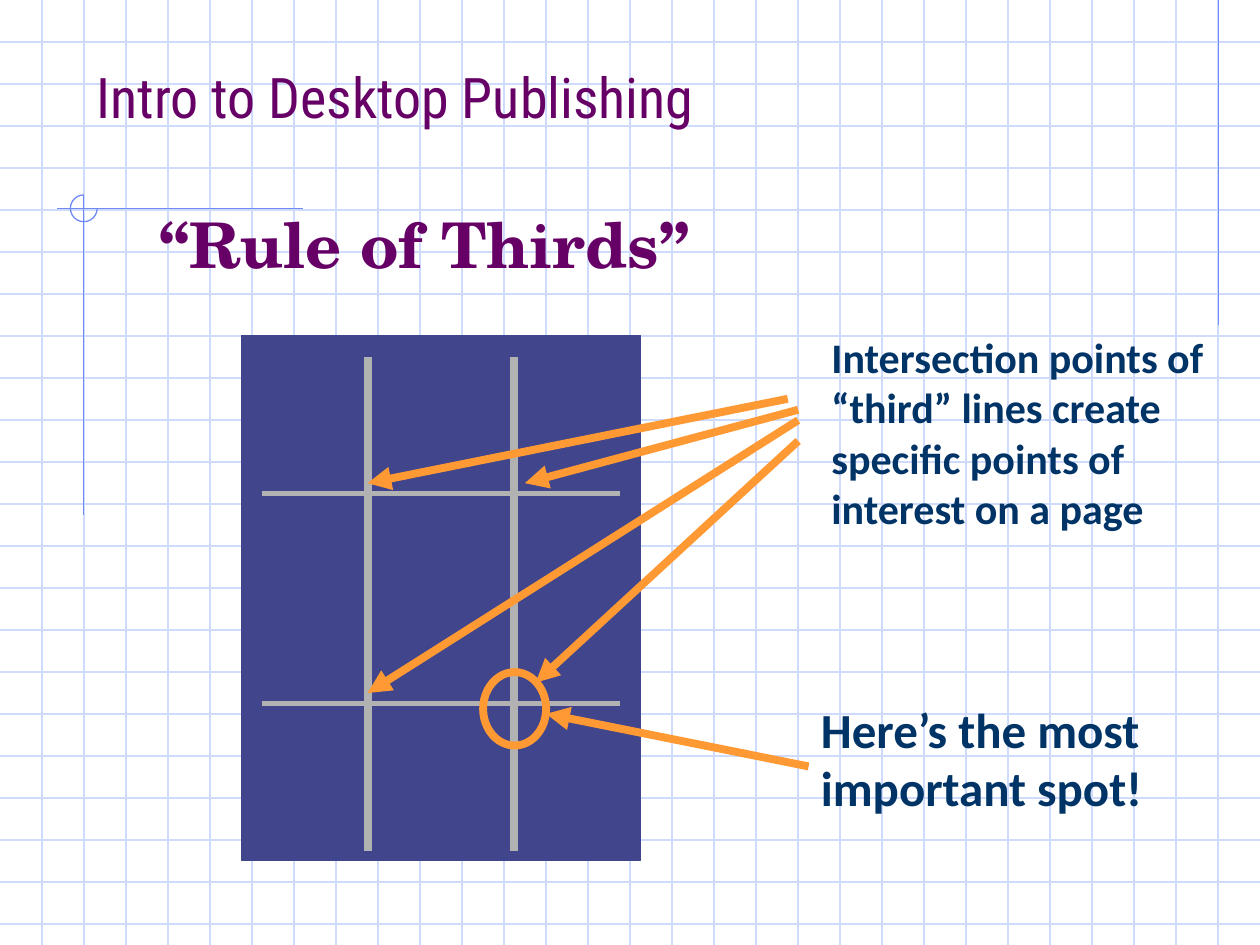
from lxml import etree
from pptx import Presentation
from pptx.dml.color import RGBColor
from pptx.enum.shapes import MSO_CONNECTOR, MSO_SHAPE
from pptx.enum.text import MSO_ANCHOR, MSO_AUTO_SIZE, PP_ALIGN
from pptx.oxml.ns import qn
from pptx.util import Cm, Pt

COLOURS = {
    "grid": "CFDBFD", "trim": "6F89F7", "heading": "660066", "page": "40458C",
    "thirds": "B2B2B2", "accent": "FF9933", "note": "003366",
}
GRID_COLUMNS = 30  # squares across the slide

# Lengths in centimetres; boxes are left, top, width, height
TITLE = ("Intro to Desktop Publishing", (1.69, 0.85, 21.59, 1.9),
         {"name": "Roboto Condensed", "size": Pt(32), "bold": False}, "heading")
SUBJECT = ("“Rule of Thirds”", (2.96, 4.02, 21.59, 2.33),
           {"name": "TeX Gyre Schola", "size": Pt(36), "bold": True}, "heading")
NOTES = [
    ("Here’s the most important spot!", (16.3, 13.97, 8.47, 2.65),
     {"name": "Calibri", "size": Pt(28), "bold": True}, "note"),
    ("Intersection points of “third” lines create specific points of interest on a page",
     (16.51, 6.56, 8.26, 5.33),
     {"name": "Calibri", "size": Pt(24), "bold": True}, "note"),
]
TRIM_LINES = [
    ((24.56, 0), (24.56, 6.55)),
    ((6.1, 4.21), (1.14, 4.21)),
    ((1.69, 3.94), (1.69, 10.39)),
]
TRIM_ARC = (1.42, 3.93, 0.54, 0.54)
PAGE_BOX = (4.87, 6.77, 8.04, 10.58)
VERTICAL_THIRDS, VERTICAL_SPAN = (7.41, 10.37), (7.2, 17.15)
HORIZONTAL_THIRDS, HORIZONTAL_SPAN = (9.95, 14.18), (5.29, 12.49)
ARROWS = [
    ((16.09, 8.26), (10.58, 9.74)),
    ((16.09, 8.47), (7.41, 13.97)),
    ((15.88, 8.04), (7.41, 9.74)),
    ((16.09, 8.89), (10.8, 13.76)),
    ((16.3, 15.45), (11.01, 14.39)),
]
KEY_SPOT = (9.74, 13.55, 1.27, 1.48)


def colour(name):
    return RGBColor.from_string(COLOURS[name])


def add_line(slide, start, end, colour_name, width, arrow=False):
    line = slide.shapes.add_connector(
        MSO_CONNECTOR.STRAIGHT, *(Cm(value) for value in (*start, *end)))
    line.line.color.rgb = colour(colour_name)
    line.line.width = Pt(width)
    if arrow:
        etree.SubElement(line.line._get_or_add_ln(), qn("a:tailEnd"), type="triangle")
    etree.SubElement(line._element.spPr, qn("a:effectLst"))


def add_figure(slide, preset, box, line_name, width, fill_name=None):
    figure = slide.shapes.add_shape(preset, *map(Cm, box))
    figure.shadow.inherit = False
    figure.line.color.rgb = colour(line_name)
    figure.line.width = Pt(width)
    if fill_name:
        figure.fill.solid()
        figure.fill.fore_color.rgb = colour(fill_name)
    else:
        figure.fill.background()
    return figure


def write_text(shape, content, anchor=MSO_ANCHOR.TOP, hanging=None):
    """Place and format one paragraph, with a bullet-free hanging indent if given."""
    text, box, font, colour_name = content
    for side, value in zip(("left", "top", "width", "height"), box):
        setattr(shape, side, Cm(value))
    frame = shape.text_frame
    frame.word_wrap = True
    frame.auto_size = MSO_AUTO_SIZE.NONE
    frame.vertical_anchor = anchor
    frame.text = text
    para = frame.paragraphs[0]
    para.alignment = PP_ALIGN.LEFT
    para.space_before = Pt(0)
    if hanging:
        properties = para._p.get_or_add_pPr()
        properties.set("marL", str(Cm(hanging)))
        properties.set("indent", str(-Cm(hanging)))
        etree.SubElement(properties, qn("a:buNone"))
    span = para.runs[0]
    for name, value in font.items():
        setattr(span.font, name, value)
    span.font.color.rgb = colour(colour_name)


def add_background(slide, width, height):
    step = width / GRID_COLUMNS
    for row in range(1, int(height / step) + 1):
        add_line(slide, (0, row * step), (width, row * step), "grid", 0.75)
    for column in range(1, GRID_COLUMNS):
        add_line(slide, (column * step, 0), (column * step, height), "grid", 0.75)
    for start, end in TRIM_LINES:
        add_line(slide, start, end, "trim", 0.75)
    arc = add_figure(slide, MSO_SHAPE.ARC, TRIM_ARC, "trim", 0.75)
    arc.adjustments[0], arc.adjustments[1] = 0, 162  # 0 to 270 degrees


def add_thirds(slide):
    add_figure(slide, MSO_SHAPE.RECTANGLE, PAGE_BOX, "page", 0.75, "page")
    top, bottom = VERTICAL_SPAN
    for x in VERTICAL_THIRDS:
        add_line(slide, (x, top), (x, bottom), "thirds", 4.5)
    left, right = HORIZONTAL_SPAN
    for y in HORIZONTAL_THIRDS:
        add_line(slide, (left, y), (right, y), "thirds", 3)
    for start, end in ARROWS:
        add_line(slide, start, end, "accent", 4.5, arrow=True)
    add_figure(slide, MSO_SHAPE.OVAL, KEY_SPOT, "accent", 4.5)


def main():
    deck = Presentation()
    deck.slide_width, deck.slide_height = Cm(25.4), Cm(19.05)
    slide = deck.slides.add_slide(deck.slide_layouts[1])
    title, body = slide.shapes.title, slide.placeholders[1]

    add_background(slide, deck.slide_width.cm, deck.slide_height.cm)
    for placeholder in (title, body):  # bring the headings in front of the grid
        slide.shapes._spTree.append(placeholder._element)
    write_text(title, TITLE, MSO_ANCHOR.BOTTOM)
    write_text(body, SUBJECT, hanging=0.95)

    add_thirds(slide)
    for note in NOTES:
        write_text(slide.shapes.add_textbox(*map(Cm, note[1])), note)
    deck.save("out.pptx")


if __name__ == "__main__":
    main()
